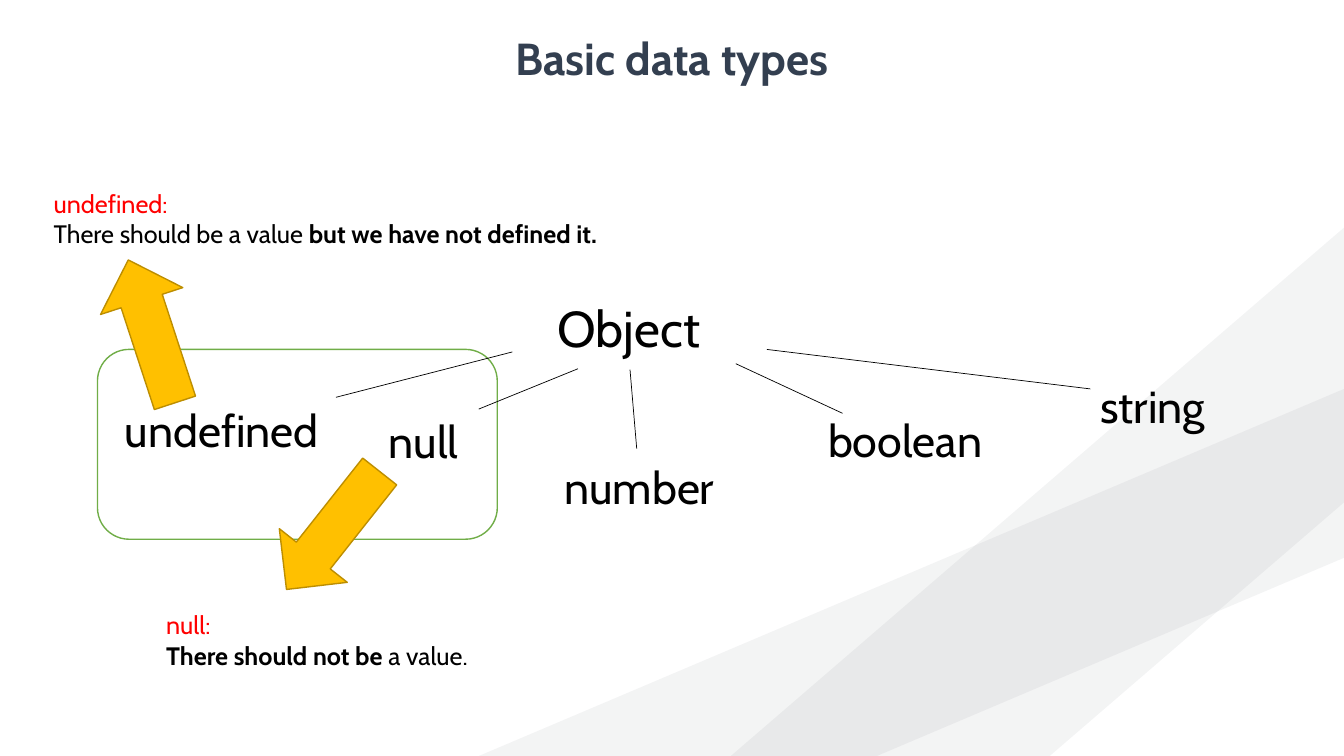
import pptx
import pptx.util
import pptx.dml.color
import pptx.enum.shapes
import pptx.enum.text
import pptx.oxml.ns
import lxml.etree

COLS, ROWS = 160, 90
FONT = "Cabin"
COLORS = {"ink": "000000", "title": "333F50", "term": "FF0000", "stripe": "222A35",
          "white": "FFFFFF", "frame": "70AD47", "arrow": "FFC000", "edge": "BD8E00"}
KINDS = pptx.enum.shapes.MSO_SHAPE
ALIGN = pptx.enum.text.PP_ALIGN

deck = pptx.Presentation()
deck.slide_width = pptx.util.Inches(13.33)
deck.slide_height = pptx.util.Inches(7.5)
slide = deck.slides.add_slide(deck.slide_layouts[6])


def rgb(name):
    return pptx.dml.color.RGBColor.from_string(COLORS[name])


def grid(col, row):
    return round(col * deck.slide_width / COLS), round(row * deck.slide_height / ROWS)


def place(box, col, row, wide, high):
    """Turn a cell range inside a box into slide lengths."""
    return *grid(box[0] + col, box[1] + row), *grid(wide, high)


def add_tag(parent, tag, **attrs):
    return lxml.etree.SubElement(parent, pptx.oxml.ns.qn(tag), **attrs)


def add_text(area, lines, size, align=ALIGN.LEFT, anchor=pptx.enum.text.MSO_ANCHOR.TOP):
    """Write lines, each a list of (text, color, bold) runs."""
    frame = slide.shapes.add_textbox(*area).text_frame
    frame.word_wrap = True
    frame.vertical_anchor = anchor
    for num, runs in enumerate(lines):
        para = frame.add_paragraph() if num else frame.paragraphs[0]
        para.alignment = align
        for text, color, bold in runs:
            run = para.add_run()
            run.text = text
            run.font.name = FONT
            run.font.size = pptx.util.Pt(size)
            run.font.bold = bold
            run.font.color.rgb = rgb(color)


def add_form(kind, area, fill, line=None, turn=0):
    form = slide.shapes.add_shape(kind, *area)
    form.shadow.inherit = False
    form.rotation = turn
    form.fill.solid()
    form.fill.fore_color.rgb = rgb(fill)
    if line:
        form.line.color.rgb = rgb(line)
        form.line.width = pptx.util.Pt(1)
    else:
        form.line.fill.background()
    return form


def add_line(box, start, end):
    points = [grid(box[0] + col, box[1] + row) for col, row in (start, end)]
    line = slide.shapes.add_connector(
        pptx.enum.shapes.MSO_CONNECTOR.STRAIGHT, *points[0], *points[1])
    line.line.color.rgb = rgb("ink")
    line.line.width = pptx.util.Pt(0.5)
    add_tag(line._element.spPr, "a:effectLst")


def draw_back(box):
    """Set pale stripes in the lower right corner of the box."""
    for wide, high, ratio in ((103, 43.7, 0.54), (73, 62.9, 0.48)):
        area = place(box, box[2] - wide, box[3] - high, wide, high)
        stripe = add_form(KINDS.DIAGONAL_STRIPE, area, "stripe", turn=180)
        stripe.adjustments[0] = ratio
        color = stripe._element.spPr.find(".//" + pptx.oxml.ns.qn("a:srgbClr"))
        add_tag(color, "a:alpha", val="5000")


def draw_title(box, text):
    add_text(place(box, 0, 0, *box[2:]), [[(text, "title", True)]], 32,
             ALIGN.CENTER, pptx.enum.text.MSO_ANCHOR.MIDDLE)


def draw_tree(box):
    add_form(KINDS.ROUNDED_RECTANGLE, place(box, 0, 6.8, 47.6, 22.6), "white", "frame")
    add_text(place(box, 53.6, 0, 23.6, 8.5), [[("Object", "ink", False)]], 36)
    types = (
        ("undefined", 2.1, 12.5, 35, (49.4, 7.1), (28.4, 12.5)),
        ("null", 33.5, 13.9, 23.6, (57.2, 9.1), (45.4, 13.9)),
        ("boolean", 85.8, 13.8, 44.2, (76, 8.5), (88.7, 14.4)),
        ("number", 54.4, 19.3, 23.6, (63.4, 9.2), (64.2, 18.6)),
        ("string", 118.2, 9.7, 23.6, (79.7, 6.8), (118.2, 11.5)),
    )
    for name, col, row, wide, start, end in types:
        add_text(place(box, col, row, wide, 7.7), [[(name, "ink", False)]], 32)
        add_line(box, start, end)


def draw_note(box, term, runs, spot, turn):
    """Explain a term, with an arrow whose offset from the box is spot."""
    body = [(text, "ink", bold) for text, bold in runs]
    add_text(place(box, 0, 0, *box[2:]), [[(term, "term", False)], body], 18)
    add_form(KINDS.RIGHT_ARROW, place(box, *spot, 17.9, 10.3), "arrow", "edge", turn)


draw_back((0, 0, COLS, ROWS))
draw_title((45.7, 3, 68.6, 7.6), "Basic data types")
draw_tree((11.6, 34.8, 141.9, 29.4))
draw_note((18.6, 72, 50.3, 8.5), "null:",
          [("There should not be", True), (" a value.", False)], (12.1, -14), 128.3)
draw_note((5.2, 21.8, 80, 8.5), "undefined:",
          [("There should be a value ", False), ("but we have not defined it.", True)],
          (3.9, 12.5), 251.9)
deck.save("out.pptx")
